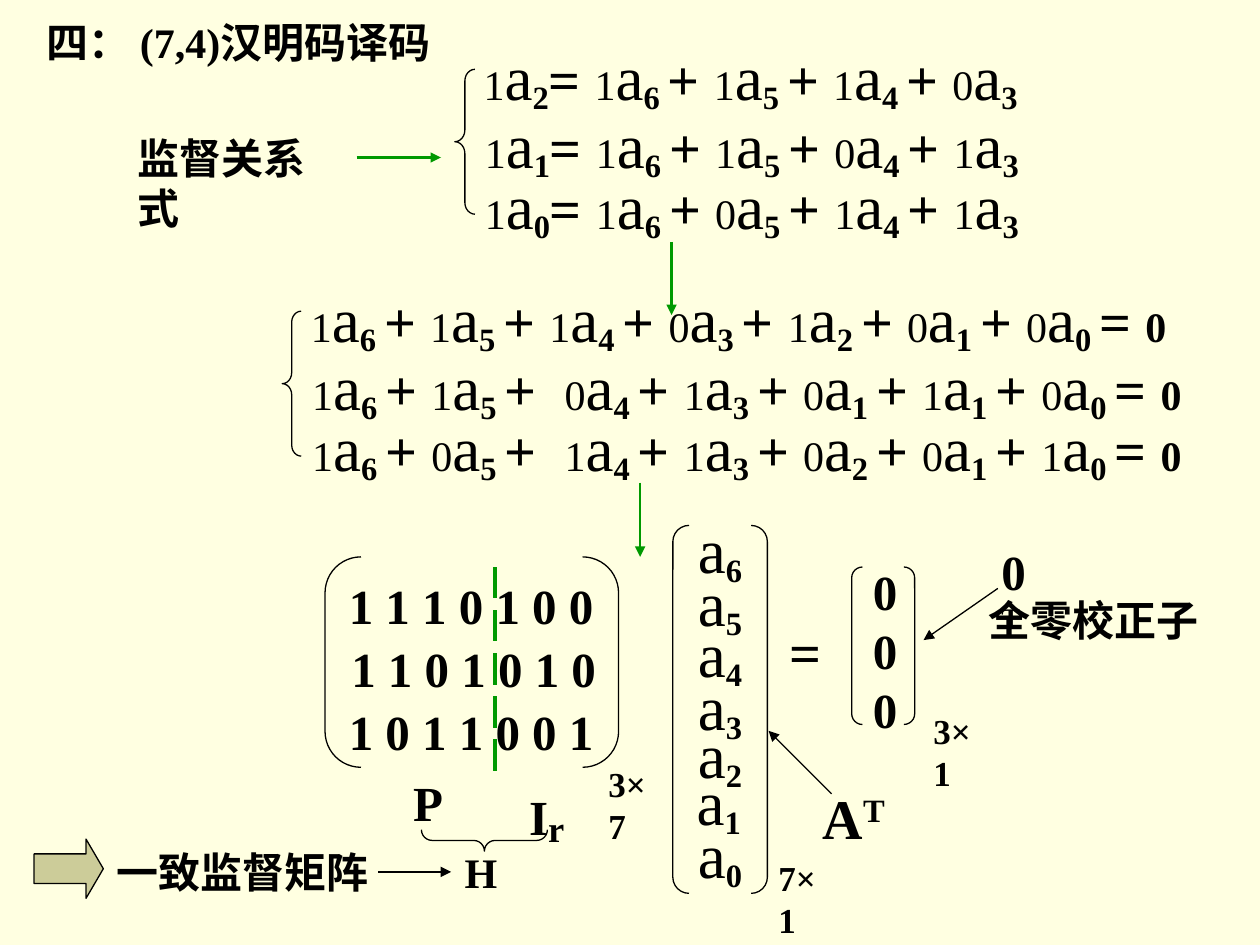
from dataclasses import dataclass
from itertools import groupby

from lxml import etree
from pptx import Presentation
from pptx.dml.color import RGBColor
from pptx.enum.dml import MSO_LINE
from pptx.enum.shapes import MSO_CONNECTOR, MSO_SHAPE
from pptx.enum.text import MSO_ANCHOR
from pptx.oxml.ns import qn
from pptx.util import Inches, Pt

STRAIGHT = MSO_CONNECTOR.STRAIGHT
LEFT_BRACE = MSO_SHAPE.LEFT_BRACE
BRACKETS = MSO_SHAPE.DOUBLE_BRACKET
RIGHT_ARROW = MSO_SHAPE.RIGHT_ARROW
MIDDLE = MSO_ANCHOR.MIDDLE
LONG_DASH = MSO_LINE.LONG_DASH


@dataclass(frozen=True)
class Theme:
    font: str = "Times New Roman"
    background: RGBColor = RGBColor(0xFF, 0xFF, 0xE1)
    ink: RGBColor = RGBColor(0, 0, 0)
    green: RGBColor = RGBColor(0x00, 0x99, 0x00)
    khaki: RGBColor = RGBColor(0xCC, 0xCC, 0x99)
    size: int = 20
    label: int = 24
    matrix: int = 28
    operator: int = 32
    variable: int = 36
    thin: float = 0.75
    arrow: float = 1.5
    thick: float = 2.25


class SlideBuilder:
    def __init__(self, slide, theme):
        self.slide = slide
        self.theme = theme
        fill = slide.background.fill
        fill.solid()
        fill.fore_color.rgb = theme.background

    def frame(self, x, y, w, h, wrap):
        box = self.slide.shapes.add_textbox(Inches(x), Inches(y), Inches(w), Inches(h))
        box.text_frame.word_wrap = wrap
        return box.text_frame

    def style(self, p):
        p.font.name = self.theme.font
        p.font.color.rgb = self.theme.ink

    def run(self, p, text, size, bold=True, baseline=0):
        r = p.add_run()
        r.text = text
        r.font.size = Pt(size)
        r.font.bold = bold
        if baseline:
            r.font._element.set("baseline", str(baseline * 1000))

    def text(self, x, y, w, h, lines, size, wrap=False):
        tf = self.frame(x, y, w, h, wrap)
        for i, line in enumerate(lines.split("\n")):
            p = tf.add_paragraph() if i else tf.paragraphs[0]
            p.text = line
            self.style(p)
            p.font.size = Pt(size)
            p.font.bold = True
        return tf

    def scripted(self, x, y, w, h, base, size, script, script_size, baseline):
        p = self.frame(x, y, w, h, False).paragraphs[0]
        self.style(p)
        self.run(p, base, size)
        self.run(p, script, script_size, baseline=baseline)

    def equation(self, x, y, w, formula, wrap=True):
        """Style each character by its role: coefficient, variable, subscript, operator."""
        t = self.theme
        styled = []
        for before, ch, after in zip(" " + formula, formula, formula[1:] + " "):
            if ch == " ":
                style = styled[-1][0]
            elif ch == "a":
                style = (t.variable, False, 0)
            elif after == "a":
                style = (t.label, False, 0)
            elif before == "a":
                style = (t.operator, True, -16)
            elif ch.isdigit():
                style = (t.label, True, 0)
            else:
                style = (t.operator, True, 0)
            styled.append((style, ch))
        p = self.frame(x, y, w, 0.73, wrap).paragraphs[0]
        self.style(p)
        for style, group in groupby(styled, key=lambda item: item[0]):
            self.run(p, "".join(ch for _, ch in group), *style)

    def shape(self, kind, x, y, w, h, adjustments, fill=None, rotation=0):
        sp = self.slide.shapes.add_shape(kind, Inches(x), Inches(y), Inches(w), Inches(h))
        sp.shadow.inherit = False
        for i, value in enumerate(adjustments):
            sp.adjustments[i] = value
        if fill is None:
            sp.fill.background()
        else:
            sp.fill.solid()
            sp.fill.fore_color.rgb = fill
        sp.line.color.rgb = self.theme.ink
        sp.line.width = Pt(self.theme.thin)
        sp.rotation = rotation

    def line(self, x1, y1, x2, y2, color, width, dash=None, arrow=True):
        c = self.slide.shapes.add_connector(
            STRAIGHT, Inches(x1), Inches(y1), Inches(x2), Inches(y2))
        c.line.color.rgb = color
        c.line.width = Pt(width)
        if dash:
            c.line.dash_style = dash
        if arrow:
            etree.SubElement(c.line._get_or_add_ln(), qn("a:tailEnd"), type="triangle")
        etree.SubElement(c._element.spPr, qn("a:effectLst"))


def main():
    prs = Presentation()
    prs.slide_width, prs.slide_height = Inches(10), Inches(7.5)
    t = Theme()
    s = SlideBuilder(prs.slides.add_slide(prs.slide_layouts[6]), t)

    # Title
    tf = s.text(0.27, 0.05, 8.5, 0.67, "四： (7,4)汉明码译码", t.label, wrap=True)
    tf.vertical_anchor = MIDDLE
    tf.paragraphs[0].line_spacing = 0.65

    # Parity relations
    s.shape(LEFT_BRACE, 3.61, 0.55, 0.16, 1.15, [0.58, 0.5])
    for x, y, formula in [
        (3.74, 0.25, "1a2= 1a6 + 1a5 + 1a4 + 0a3"),
        (3.75, 0.79, "1a1= 1a6 + 1a5 + 0a4 + 1a3"),
        (3.75, 1.27, "1a0= 1a6 + 0a5 + 1a4 + 1a3"),
    ]:
        s.equation(x, y, 5, formula)

    # Relations moved to one side
    s.shape(LEFT_BRACE, 2.24, 2.47, 0.15, 1.15, [0.58, 0.5])
    for x, y, formula in [
        (2.37, 2.17, "1a6 + 1a5 + 1a4 + 0a3 + 1a2 + 0a1 + 0a0 = 0"),
        (2.38, 2.71, "1a6 + 1a5 +  0a4 + 1a3 + 0a1 + 1a1 + 0a0 = 0"),
        (2.38, 3.19, "1a6 + 0a5 +  1a4 + 1a3 + 0a2 + 0a1 + 1a0 = 0"),
    ]:
        s.equation(x, y, 7.4, formula)

    # Code vector
    s.shape(BRACKETS, 5.34, 4.17, 0.75, 2.92, [0.171])
    for index, y in zip("6543210", (4, 4.42, 4.83, 5.25, 5.63, 6, 6.42)):
        s.equation(5.43 if index == "1" else 5.44, y, 0.55, "a" + index, wrap=False)

    # Parity-check matrix
    for x, y, row in [(2.67, 4.52, "1 1 1 0 1 0 0"),
                      (2.69, 5.02, "1 1 0 1 0 1 0"),
                      (2.67, 5.52, "1 0 1 1 0 0 1")]:
        s.text(x, y, 2.14, 0.57, row, t.matrix)
    s.shape(BRACKETS, 2.58, 4.42, 2.33, 1.67, [0.171])

    # Zero vector
    s.text(6.17, 4.85, 0.45, 0.64, "=", t.operator)
    s.text(6.83, 4.41, 0.39, 1.5, "0\n0\n0", t.matrix)
    s.shape(BRACKETS, 6.76, 4.5, 0.5, 1.25, [0.171])

    # Dimensions
    for x, y, size in [(4.73, 6, "3×7"), (6.08, 6.75, "7×1"), (7.31, 5.58, "3×1")]:
        s.text(x, y, 0.63, 0.44, size, t.size)

    # Matrix partition
    s.line(3.93, 4.5, 3.93, 6.17, t.green, t.thick, LONG_DASH, arrow=False)
    s.scripted(4.1, 6.08, 0.48, 0.72, "I", t.matrix, "r", t.variable, -12)
    s.text(3.18, 6.08, 0.44, 0.57, "P", t.matrix)
    s.shape(LEFT_BRACE, 3.76, 6.17, 0.17, 1, [0.5, 0.5], rotation=270)
    s.text(3.59, 6.67, 0.46, 0.5, "H", t.label)

    # Labels
    s.text(0.83, 6.67, 2.58, 0.5, "一致监督矩阵", t.label, wrap=True)
    s.text(7.75, 4.67, 2, 0.5, "全零校正子", t.label, wrap=True)
    s.text(0.99, 1, 1.86, 0.5, "监督关系式", t.label)
    s.scripted(6.43, 6.17, 0.69, 0.64, "A", t.operator, "T", t.operator, 30)
    s.scripted(7.85, 4.25, 0.54, 0.6, "0", t.matrix, "T", t.matrix, 50)

    # Pointers from labels
    for ends in [(6.6, 6.3, 6.1, 5.8), (7.92, 4.67, 7.33, 5.08), (3, 6.92, 3.58, 6.92)]:
        s.line(*ends, t.ink, t.thin)

    # Derivation arrows
    for ends in [(2.83, 1.25, 3.5, 1.25), (5.33, 1.92, 5.33, 2.5), (5.08, 3.83, 5.08, 4.42)]:
        s.line(*ends, t.green, t.arrow)
    s.shape(RIGHT_ARROW, 0.27, 6.66, 0.55, 0.47, [0.5, 0.292], fill=t.khaki)

    prs.save("out.pptx")


if __name__ == "__main__":
    main()
